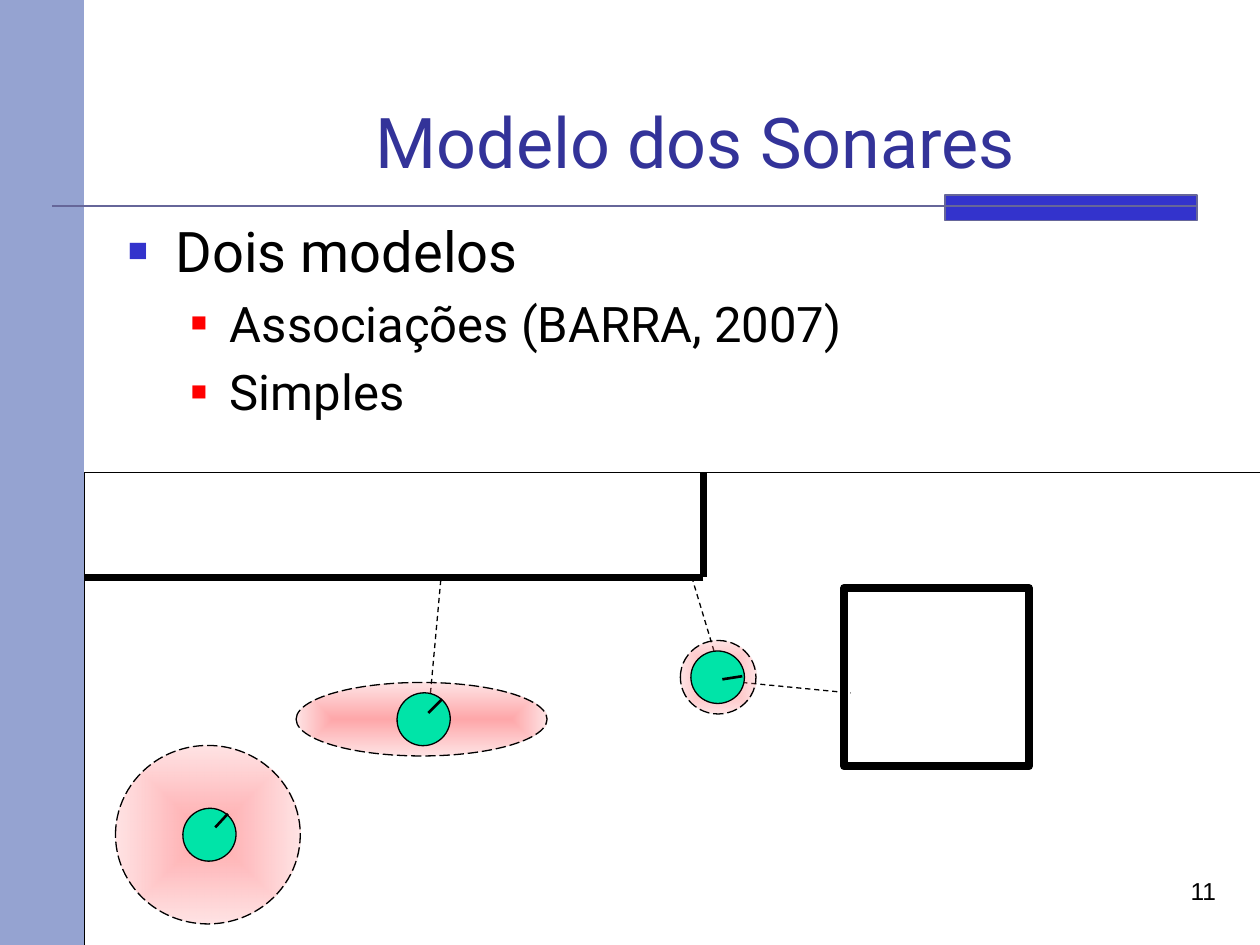
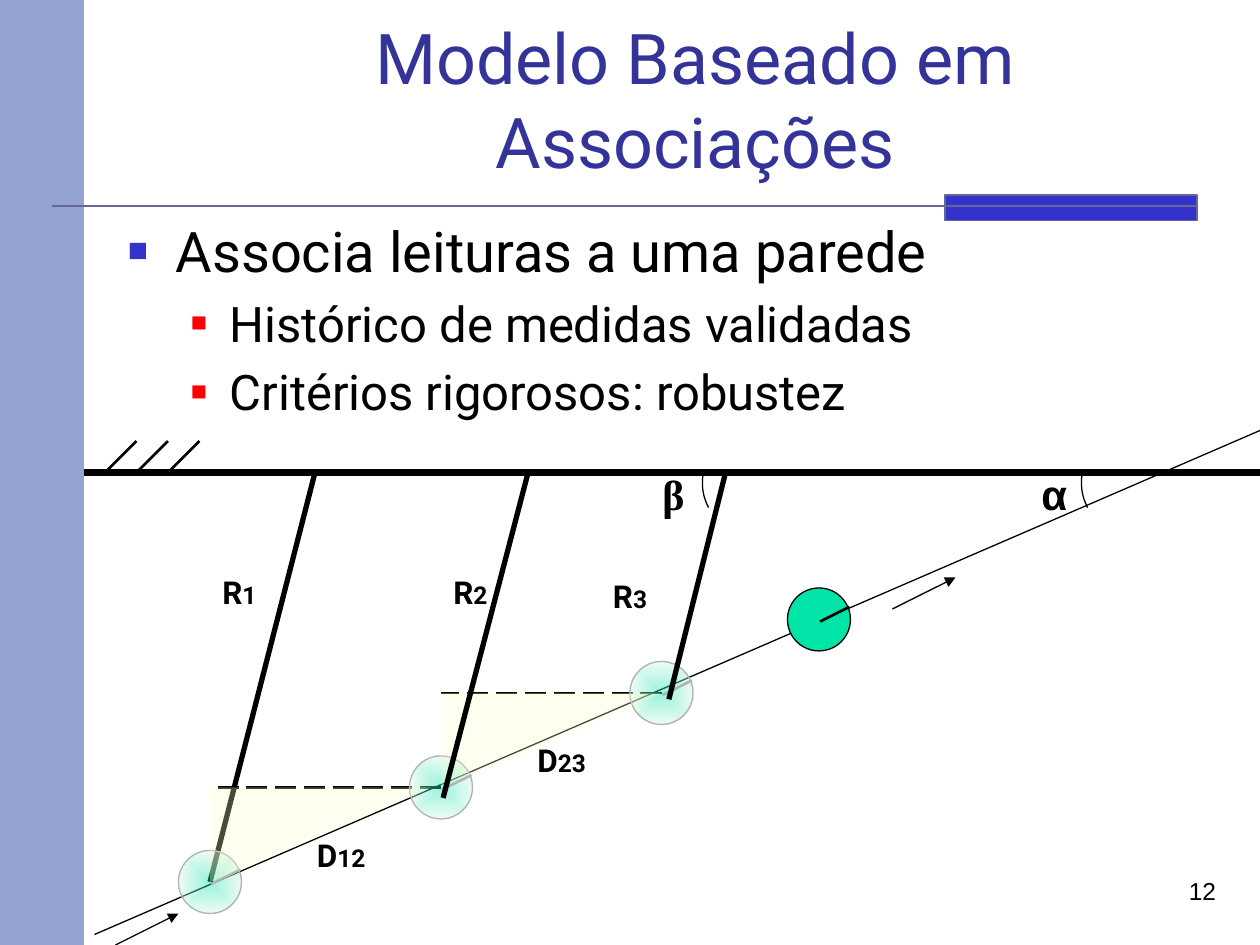
from math import cos, radians, sin

from lxml import etree
from pptx import Presentation
from pptx.dml.color import RGBColor
from pptx.enum.dml import MSO_LINE
from pptx.enum.shapes import MSO_CONNECTOR, MSO_SHAPE
from pptx.enum.text import MSO_ANCHOR, MSO_AUTO_SIZE, PP_ALIGN
from pptx.oxml.ns import qn
from pptx.util import Inches, Pt

RECTANGLE, ELLIPSE = MSO_SHAPE.RECTANGLE, MSO_SHAPE.OVAL
TRIANGLE = MSO_SHAPE.RIGHT_TRIANGLE
DASH, LONG_DASH = MSO_LINE.DASH, MSO_LINE.LONG_DASH

BLACK = RGBColor(0x00, 0x00, 0x00)
SIDE_BLUE = RGBColor(0x95, 0xA3, 0xD1)
ACCENT_BLUE = RGBColor(0x33, 0x33, 0xCC)
TITLE_BLUE = RGBColor(0x33, 0x33, 0x99)
RULE_GRAY = RGBColor(0x66, 0x66, 0x99)
RED = RGBColor(0xFF, 0x00, 0x00)
PINK = RGBColor(0xFF, 0x7C, 0x80)
GREEN = RGBColor(0x00, 0xE4, 0xA8)
PALE_GREEN = RGBColor(0xDC, 0xF8, 0xEA)
PALE_YELLOW = RGBColor(0xFF, 0xFF, 0xCC)
GHOST_GRAY = RGBColor(0xB2, 0xB2, 0xB2)

# Fills are lists of (colour, opacity in percent); two stops make a gradient
ROBOT_FILL = [(GREEN, 100)]
GHOST_FILL = [(GREEN, 40), (PALE_GREEN, 40)]
HALO_FILL = [(PINK, 67), (PINK, 20)]
TRIANGLE_FILL = [(PALE_YELLOW, 29)]

# The grid has 120 columns and 90 rows
presentation = Presentation()
presentation.slide_width, presentation.slide_height = Inches(10), Inches(7.5)
COLUMNS, ROWS = 120, 90
CELL = presentation.slide_width / COLUMNS


def draw_shape(slide, kind, box, fill=(), colour=None, width=0.75, dash=None):
    shape = slide.shapes.add_shape(kind, *[round(n * CELL) for n in box])
    shape.shadow.inherit = False
    if not fill:
        shape.fill.background()
    elif len(fill) == 1:
        shape.fill.solid()
        shape.fill.fore_color.rgb = fill[0][0]
    else:
        shape.fill.gradient()
        for stop, (stop_colour, _) in zip(shape.fill.gradient_stops, fill):
            stop.color.rgb = stop_colour
        gradient = shape._element.spPr.find(qn("a:gradFill"))
        gradient.remove(gradient.find(qn("a:lin")))
        centre = etree.SubElement(gradient, qn("a:path"), {"path": "shape"})
        etree.SubElement(centre, qn("a:fillToRect"),
                         dict.fromkeys("ltrb", "50000"))
    for element, (_, opacity) in zip(shape._element.spPr.iter(qn("a:srgbClr")), fill):
        if opacity < 100:
            etree.SubElement(element, qn("a:alpha"), val=str(opacity * 1000))
    if colour is None:
        shape.line.fill.background()
    else:
        shape.line.color.rgb = colour
        shape.line.width = Pt(width)
        if dash:
            shape.line.dash_style = dash
    return shape


def draw_line(slide, start, end, width=0.75, colour=BLACK, dash=None, arrow=False):
    ends = [round(n * CELL) for n in (*start, *end)]
    line = slide.shapes.add_connector(MSO_CONNECTOR.STRAIGHT, *ends)
    line.line.color.rgb = colour
    line.line.width = Pt(width)
    if dash:
        line.line.dash_style = dash
    if arrow:
        etree.SubElement(line.line._get_or_add_ln(), qn("a:tailEnd"), type="triangle")
    etree.SubElement(line._element.spPr, qn("a:effectLst"))


# Frame, title, bullets and page number of every slide
CONTENTS = [
    (11, "Modelo dos Sonares", 23.2,
     ["Dois modelos", "Associações (BARRA, 2007)", "Simples"]),
    (12, "Modelo Baseado em Associações", 21.2,
     ["Associa leituras a uma parede", "Histórico de medidas validadas",
      "Critérios rigorosos: robustez"]),
]
# Bullet levels: text size, left margin, hanging indent, bullet colour and size
LEVELS = [(32, 0.38, 0.38, ACCENT_BLUE, 60), (28, 0.81, 0.31, RED, 55)]

for page, heading, body_height, bullets in CONTENTS:
    slide = presentation.slides.add_slide(presentation.slide_layouts[5])
    draw_shape(slide, RECTANGLE, (0, 0, 8, ROWS), [(SIDE_BLUE, 100)])
    draw_shape(slide, RECTANGLE, (90, 18.6, 24, 2.4), [(ACCENT_BLUE, 100)], RULE_GRAY, 1)
    draw_line(slide, (5, 19.6), (114, 19.6), 1, RULE_GRAY)

    title = slide.shapes.title
    title.left, title.top, title.width, title.height = [
        round(n * CELL) for n in (15.1, 3, 102.2, 15)]
    title.text_frame.text = heading
    title.text_frame.auto_size = MSO_AUTO_SIZE.NONE
    title.text_frame.vertical_anchor = MSO_ANCHOR.BOTTOM
    title.text_frame.paragraphs[0].alignment = PP_ALIGN.CENTER
    font = title.text_frame.paragraphs[0].runs[0].font
    font.name, font.size, font.color.rgb = "Roboto", Pt(40), TITLE_BLUE

    body = slide.shapes.add_textbox(
        *[round(n * CELL) for n in (11, 20, 106.6, body_height)])
    body.text_frame.word_wrap = True
    body.text_frame.text = "\n".join(bullets)
    for index, paragraph in enumerate(body.text_frame.paragraphs):
        level = min(index, 1)
        size, margin, hanging, bullet_colour, bullet_size = LEVELS[level]
        paragraph.level = level
        paragraph.space_before = Pt(size * 0.2)
        font = paragraph.runs[0].font
        font.name, font.size, font.color.rgb = "Roboto", Pt(size), BLACK
        properties = paragraph._p.get_or_add_pPr()
        properties.set("marL", str(Inches(margin)))
        properties.set("indent", str(-Inches(hanging)))
        colour_element = etree.SubElement(properties, qn("a:buClr"))
        etree.SubElement(colour_element, qn("a:srgbClr"), val=str(bullet_colour))
        etree.SubElement(properties, qn("a:buSzPct"), val=str(bullet_size * 1000))
        etree.SubElement(properties, qn("a:buFont"), typeface="Arial")
        etree.SubElement(properties, qn("a:buChar"), char="■")

    number = slide.shapes.add_textbox(
        *[round(n * CELL) for n in (89, 82.8, 28, 6.2)])
    number.text_frame.word_wrap = True
    number.text_frame.text = str(page)
    number.text_frame.paragraphs[0].alignment = PP_ALIGN.RIGHT
    font = number.text_frame.paragraphs[0].runs[0].font
    font.name, font.size, font.color.rgb = "Arial", Pt(14), BLACK

sonar_slide, association_slide = presentation.slides

# Sonar slide: room, walls and box
draw_shape(sonar_slide, RECTANGLE, (8, 45, 112, 45), colour=BLACK, width=0.25)
for wall_end in [(8, 55), (67, 45)]:
    draw_line(sonar_slide, (67, 55), wall_end, 4.5)
draw_shape(sonar_slide, RECTANGLE, (80.4, 56, 17.6, 17), colour=BLACK, width=4.5)

# Sonar beams
for start, end in [((41, 66), (42, 55)), ((70.7, 65), (81, 66)), ((68, 62), (65.9, 55))]:
    draw_line(sonar_slide, start, end, dash=DASH)

# Robots: uncertainty halo, left and top of the body, rotation, heading mark
ROBOTS = [
    ((11, 71, 17.6, 17), (17.4, 77), 324.5, (20.5, 78.8), (21.7, 77.5)),
    ((28.2, 65, 23.9, 7), (37.8, 66), 324.5, (40.8, 67.9), (42.1, 66.6)),
    ((64.8, 61, 7.2, 7), (65.8, 62), 6.1, (68.8, 64.7), (70.7, 64.4)),
]
for halo, corner, rotation, mark_start, mark_end in ROBOTS:
    draw_shape(sonar_slide, ELLIPSE, halo, HALO_FILL, BLACK, dash=LONG_DASH)
    robot = draw_shape(sonar_slide, ELLIPSE, (*corner, 5.1, 5), ROBOT_FILL, BLACK)
    robot.rotation = rotation
    draw_line(sonar_slide, mark_start, mark_end, 1.5)

# Association slide: wall with hatching, and the path of the robot
WALL = 45
draw_line(association_slide, (8, WALL), (COLUMNS, WALL), 4.5)
for column in (10, 13, 16):
    draw_line(association_slide, (column, WALL), (column + 3, WALL - 3), 1.5)
draw_line(association_slide, (COLUMNS, 41), (9, 89))
for start, end in [((85, 58), (91, 55)), ((11, 90), (17, 87))]:
    draw_line(association_slide, start, end, arrow=True)

# Readings, robot positions and the triangles between them
POSITIONS = [(20, 84), (42, 75), (63, 66), (78, 59)]
draw_line(association_slide, (30, WALL), POSITIONS[0], 3)
for (left, _), (right, top) in zip(POSITIONS[:2], POSITIONS[1:3]):
    draw_line(association_slide, (right, top), (left, top), 1.5, dash=LONG_DASH)
for x, y in POSITIONS:
    current = (x, y) == POSITIONS[-1]
    fill, outline = (ROBOT_FILL, BLACK) if current else (GHOST_FILL, GHOST_GRAY)
    draw_shape(association_slide, ELLIPSE, (x - 3, y - 3, 6, 6), fill, outline)
    draw_line(association_slide, (x + 0.1, y + 0.2), (x + 2.9, y - 1.2), 1.5, outline)
for (left, _), (_, top) in zip(POSITIONS[:2], POSITIONS[1:3]):
    triangle = draw_shape(association_slide, TRIANGLE, (left, top, 21, 9), TRIANGLE_FILL)
    triangle._element.spPr.xfrm.set("flipV", "1")
for start, end in [((50.3, WALL), (42.2, 76)), ((69.1, WALL), (63.7, 66.6))]:
    draw_line(association_slide, start, end, 3)

# Angle arcs below the wall
for centre in (108, 71.9):
    points = [((centre - 5 * cos(radians(angle))) * CELL,
               (46 + 5 * sin(radians(angle))) * CELL) for angle in range(-8, 29, 3)]
    builder = association_slide.shapes.build_freeform(*points[0])
    builder.add_line_segments(points[1:], close=False)
    arc = builder.convert_to_shape()
    arc.shadow.inherit = False
    arc.fill.background()
    arc.line.color.rgb = BLACK
    arc.line.width = Pt(0.75)

# Labels: letter, smaller index, box, font, size
LABELS = [
    ("D", "12", (29, 79, 9, 4.8), "Roboto", 18),
    ("D", "23", (50, 70, 9, 4.8), "Roboto", 18),
    ("R", "1", (20, 54, 8, 4.8), "Roboto", 18),
    ("R", "2", (42, 54, 8, 4.8), "Roboto", 18),
    ("R", "3", (57.2, 54.4, 8, 4.8), "Roboto", 18),
    ("α", "", (98, 44, 5, 6), "Arial", 24),
    ("β", "", (61.9, 44, 5, 6), "Times New Roman", 24),
]
for letter, index, box, font_name, size in LABELS:
    label = association_slide.shapes.add_textbox(*[round(n * CELL) for n in box])
    label.text_frame.word_wrap = True
    paragraph = label.text_frame.paragraphs[0]
    paragraph.text = letter
    if index:
        paragraph.add_run().text = index
    for run, run_size in zip(paragraph.runs, (size, 14)):
        run.font.name, run.font.size, run.font.bold = font_name, Pt(run_size), True
        run.font.color.rgb = BLACK

presentation.save("out.pptx")
